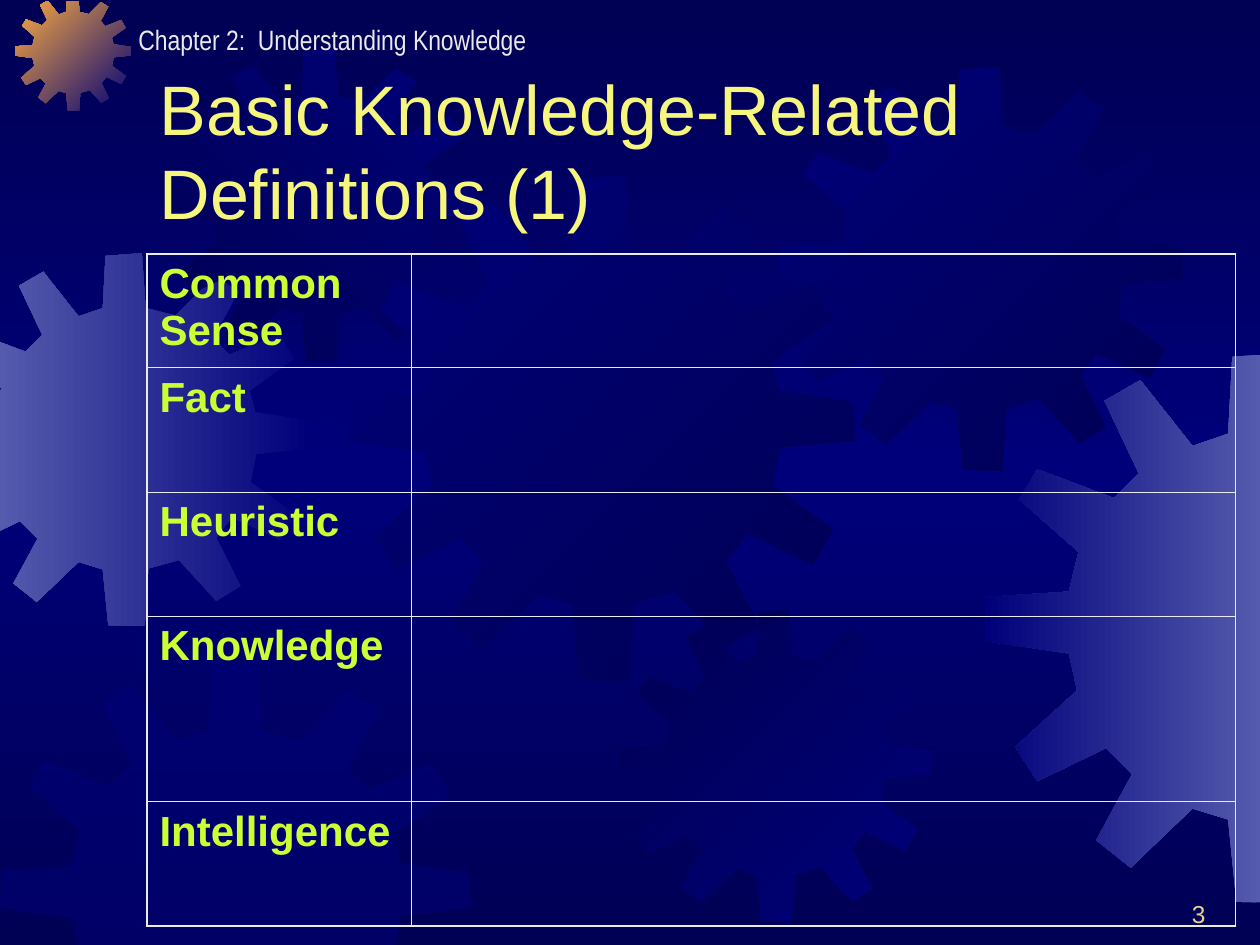
import copy

import pptx
import pptx.dml.color
import pptx.enum.text
import pptx.oxml.ns
import pptx.util
from lxml import etree

Pt = pptx.util.Pt
ALIGN = pptx.enum.text.PP_ALIGN
ANCHOR = pptx.enum.text.MSO_ANCHOR

HUES = {
    "night": "000054", "navy": "00007A", "steel": "555BAD", "orange": "FCAB40",
    "white": "EAEAEA", "yellow": "F6F67E", "lime": "CCFF33", "sand": "EBD189",
}

# Outline of one gear, on a square of SPAN units
SPAN = 401
GEAR = [
    (255, 67), (223, 59), (219, 0), (180, 3), (177, 59), (151, 68), (113, 20),
    (87, 35), (112, 88), (94, 106), (38, 85), (25, 107), (68, 145), (61, 174),
    (1, 178), (0, 210), (61, 219), (67, 246), (22, 287), (38, 312), (88, 288),
    (107, 307), (81, 355), (106, 375), (151, 332), (177, 340), (183, 400),
    (222, 401), (226, 339), (259, 330), (299, 374), (325, 358), (299, 306),
    (316, 284), (368, 309), (384, 281), (336, 246), (342, 216), (401, 210),
    (400, 180), (341, 171), (335, 148), (383, 114), (367, 87), (313, 109),
    (296, 91), (323, 41), (297, 25),
]

# Edges that cut the gears: axis, limit, side to keep
EDGES = [(0, -1, 1), (0, 721, -1), (1, 1, 1), (1, 543, -1)]

# Left, top, size, first hue, last hue, clockwise angle
GEARS = [
    (-35.3, 144.7, 213.1, "navy", "steel", 180),
    (8.6, -2.9, 66.2, "navy", "orange", 225),
    (93.6, 28.1, 178.6, "navy", "night", 135),
    (199.4, 100.1, 289, "night", "navy", 225),
    (0, 378, 269.3, "navy", None, 0),
    (353.5, 348.5, 178.6, "navy", "night", 225),
    (445, 38.2, 230.8, "night", "navy", 225),
    (563, 201.6, 314.6, "steel", "navy", 180),
]

TERMS = ["Common Sense", "Fact", "Heuristic", "Knowledge", "Intelligence"]
COLS = [151, 471]
ROWS = [65, 71, 71, 106, 71]


def tint(name):
    return pptx.dml.color.RGBColor.from_string(HUES[name])


def clip(points, axis, limit, side):
    """Cut a polygon along one straight edge."""
    kept = []
    for a, b in zip(points, points[1:] + points[:1]):
        near, far = (side * (p[axis] - limit) for p in (a, b))
        if near >= 0:
            kept.append(a)
        if near * far < 0:
            part = near / (near - far)
            kept.append(tuple(m + part * (n - m) for m, n in zip(a, b)))
    return kept


class Deck:
    font = "Arial"
    thick, thin = 1.08, 0.45

    def __init__(self, wide, high):
        self.show = pptx.Presentation()
        self.show.slide_width, self.show.slide_height = Pt(wide), Pt(high)
        self.slide = self.show.slides.add_slide(self.show.slide_layouts[5])

    def blend(self, fill, hues, angle):
        """Fill with evenly spaced hues, the angle being clockwise."""
        fill.gradient()
        fill.gradient_angle = (360 - angle) % 360
        first = fill.gradient_stops[0]
        first.color.rgb = tint(hues[0])
        mark = first._gs
        for _ in hues[2:]:
            mark.addnext(copy.deepcopy(mark))
        for i, (stop, hue) in enumerate(zip(fill.gradient_stops, hues)):
            stop.color.rgb = tint(hue)
            stop.position = i / (len(hues) - 1)

    def gear(self, left, top, size, start, end, angle):
        rate = size / SPAN
        points = [(left + x * rate, top + y * rate) for x, y in GEAR]
        for edge in EDGES:
            points = clip(points, *edge)
        spots = [(Pt(x), Pt(y)) for x, y in points]
        pen = self.slide.shapes.build_freeform(*spots[0])
        pen.add_line_segments(spots[1:], close=True)
        shape = pen.convert_to_shape()
        shape.shadow.inherit = False
        shape.line.fill.background()
        if end:
            self.blend(shape.fill, [start, end], angle)
        else:
            shape.fill.solid()
            shape.fill.fore_color.rgb = tint(start)
            hue = shape.element.find(".//" + pptx.oxml.ns.qn("a:srgbClr"))
            etree.SubElement(hue, pptx.oxml.ns.qn("a:alpha"), val="50000")

    def words(self, frame, text, size, hue, font=None, bold=False, align=ALIGN.LEFT):
        para = frame.paragraphs[0]
        para.alignment = align
        run = para.add_run()
        run.text = text
        run.font.name = font or self.font
        run.font.size = Pt(size)
        run.font.bold = bold
        run.font.color.rgb = tint(hue)

    def title(self, box, text):
        shape = self.slide.shapes.title
        shape.left, shape.top, shape.width, shape.height = map(Pt, box)
        tree = shape.element.getparent()
        tree.append(shape.element)  # in front of the gears
        frame = shape.text_frame
        frame.word_wrap = True
        frame.auto_size = pptx.enum.text.MSO_AUTO_SIZE.NONE
        frame.vertical_anchor = ANCHOR.BOTTOM
        self.words(frame, text, 40, "yellow")

    def text(self, box, text, size, hue, anchor=ANCHOR.TOP, **style):
        frame = self.slide.shapes.add_textbox(*map(Pt, box)).text_frame
        frame.word_wrap = True
        frame.vertical_anchor = anchor
        self.words(frame, text, size, hue, **style)

    def border(self, cell, side, width):
        line = etree.SubElement(
            cell._tc.get_or_add_tcPr(), pptx.oxml.ns.qn("a:ln" + side), w=str(int(Pt(width))))
        fill = etree.SubElement(line, pptx.oxml.ns.qn("a:solidFill"))
        etree.SubElement(fill, pptx.oxml.ns.qn("a:srgbClr"), val=HUES["white"])

    def table(self, left, top, terms, cols, rows):
        box = map(Pt, (left, top, sum(cols), sum(rows)))
        grid = self.slide.shapes.add_table(len(rows), len(cols), *box).table
        grid.first_row = grid.horz_banding = False
        for col, width in zip(grid.columns, cols):
            col.width = Pt(width)
        for row, height in zip(grid.rows, rows):
            row.height = Pt(height)
        for r, term in enumerate(terms):
            for c in range(len(cols)):
                cell = grid.cell(r, c)
                outer = {"L": c == 0, "R": c == len(cols) - 1,
                         "T": r == 0, "B": r == len(rows) - 1}
                for side, edge in outer.items():
                    self.border(cell, side, self.thick if edge else self.thin)
                cell.fill.background()
            self.words(grid.cell(r, 0).text_frame, term, 24, "lime", bold=True)


def main():
    deck = Deck(720, 540)
    deck.blend(deck.slide.background.fill, ["night", "navy", "night"], 90)
    for gear in GEARS:
        deck.gear(*gear)
    deck.text((72, 9.4, 462, 26.6), "Chapter 2:  Understanding Knowledge",
              16, "white", font="Arial Narrow")
    deck.title((84, 46.8, 612, 90), "Basic Knowledge-Related Definitions (1)")
    deck.table(84, 145.2, TERMS, COLS, ROWS)
    deck.text((546, 498, 150, 36), "3", 14, "sand",
              anchor=ANCHOR.BOTTOM, align=ALIGN.RIGHT)
    deck.show.save("out.pptx")


if __name__ == "__main__":
    main()
